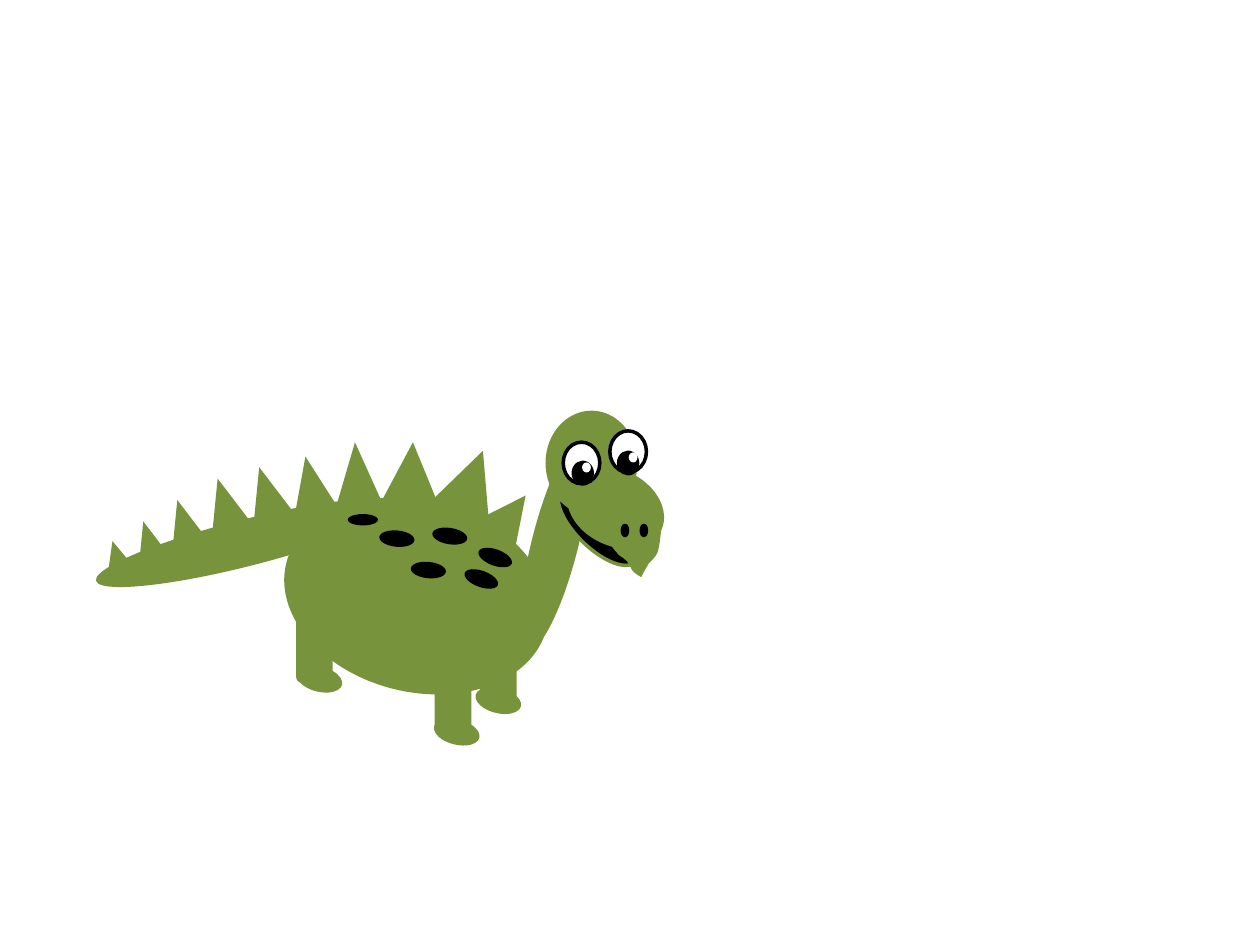
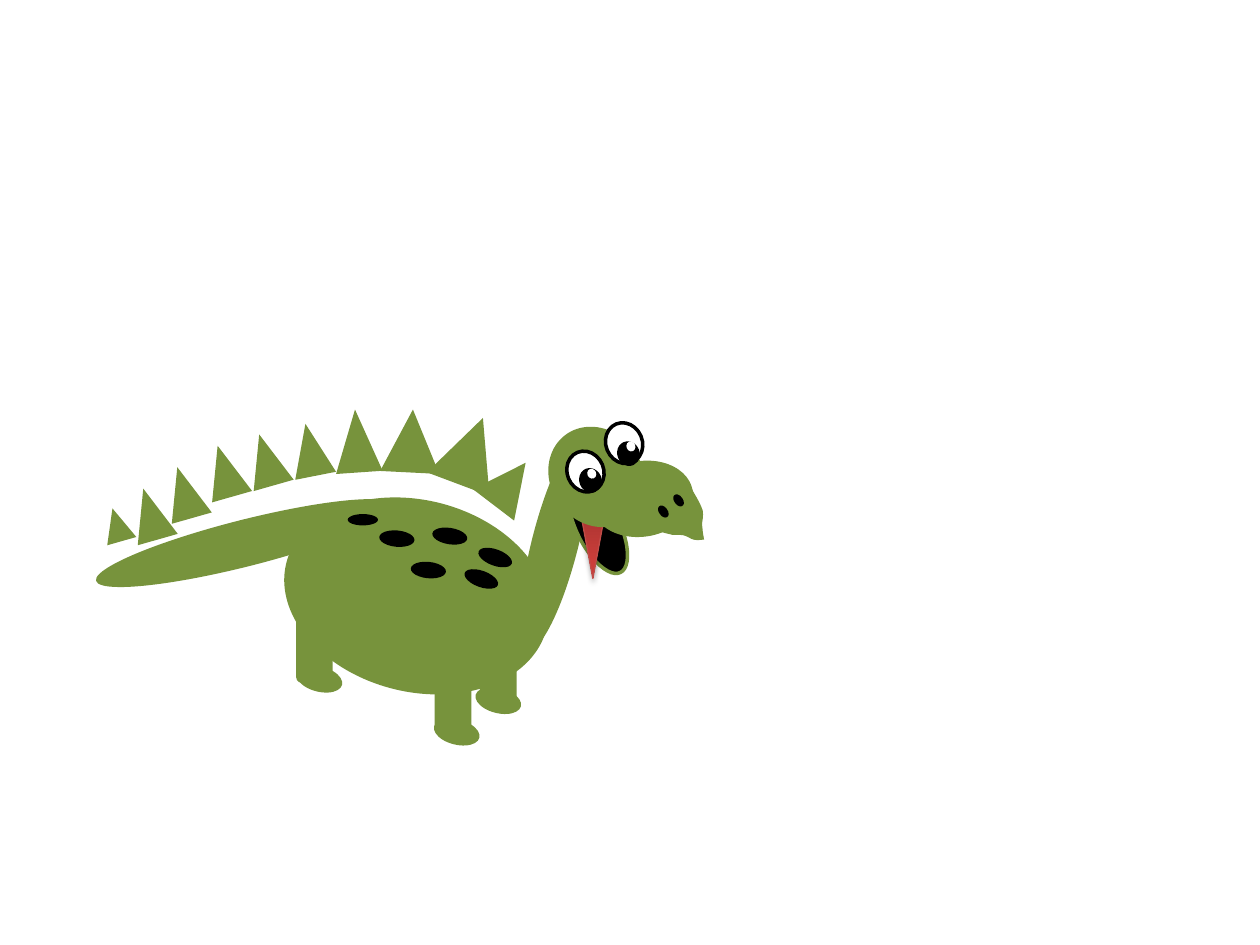
from copy import deepcopy
from dataclasses import dataclass
from math import cos, radians, sin

from lxml.etree import SubElement
from pptx import Presentation
from pptx.dml.color import RGBColor
from pptx.enum.shapes import MSO_SHAPE as PRESET
from pptx.oxml.ns import qn
from pptx.util import Inches, Pt

GREEN, BLACK, WHITE = "77933C", "000000", "FFFFFF"
TONGUE_STOPS = [(0, "9C2F2D"), (0.8, "CB3E3A"), (1, "CE3B37")]
TONGUE_LINE = "BF4C48"

# Boxes are left, top, width, height in inches; a fifth value is the rotation
LEAN = 14.2
NECK = (4.22, 3.45, 0.37, 1.73, LEAN)
BODY = (2.24, 3.97, 2.13, 1.52, LEAN)
TAIL = (1.76, 3.09, 0.37, 2.44, 270 - LEAN)
HEAD = (4.33, 3.26, 0.73, 0.83)
SNOUT = (4.48, 3.73, 0.81, 0.6, 26.8)
NOSTRILS = [(5.09, 4.17), (4.94, 4.17)]
EYES = [(4.84, 3.42), (4.47, 3.51)]
PUPILS = [(4.91, 3.59), (4.55, 3.67)]
GLINTS = [(4.99, 3.59), (4.62, 3.67)]
FRONT_LEGS = [(3.81, 5.17, 0.29, 0.41), (3.45, 5.34, 0.29, 0.49)]
FRONT_FEET = [(3.77, 5.46), (3.44, 5.71)]
HIND_LEGS = [(2.35, 4.84, 0.29, 0.58)]
HIND_FEET = [(2.35, 5.29)]
SPOTS = [(3.79, 4.36, 20), (3.43, 4.19, 8.9), (3.01, 4.21, 5.2),
         (3.26, 4.46, 5.6), (3.68, 4.53, 20)]
TAIL_SPOT = (2.76, 4.08, 0.24, 0.09)
SPIKES = [
    (0.81, 4.29, 0.24, 0.27, 344.1),
    (1.03, 4.13, 0.33, 0.42, 344.1),
    (1.3, 3.96, 0.33, 0.42, 344.1),
    (1.62, 3.79, 0.33, 0.42, 344.1),
    (1.95, 3.7, 0.33, 0.42, 344.1),
    (2.3, 3.62, 0.33, 0.42, 348.9),
    (2.65, 3.51, 0.37, 0.5, 356),
    (3.03, 3.51, 0.47, 0.5, 2.9),
    (3.47, 3.56, 0.53, 0.56, 20.5),
    (3.84, 3.89, 0.41, 0.42, 37.3),
]
# Lip outline: a start point, then cubic curves (two controls and an end)
LIP_START = (5.25, 4.19)
LIP_CURVES = [
    ((5.24, 4.25), (5.24, 4.31), (5.22, 4.38)),
    ((5.21, 4.41), (5.18, 4.44), (5.15, 4.47)),
    ((5.11, 4.54), (5.13, 4.5), (5.09, 4.58)),
    ((5.07, 4.57), (5.04, 4.55), (5.03, 4.54)),
    ((5, 4.51), (5, 4.47), (4.96, 4.44)),
    ((4.94, 4.42), (4.91, 4.41), (4.9, 4.39)),
    ((4.87, 4.36), (4.83, 4.3), (4.83, 4.3)),
    ((4.9, 4.29), (4.99, 4.29), (5.03, 4.27)),
]


@dataclass(frozen=True)
class Pose:
    """A clockwise turn about a pivot, followed by a shift."""
    angle: float = 0
    pivot: tuple = (0, 0)
    shift: tuple = (0, 0)

    def move(self, x, y):
        turn = radians(self.angle)
        dx, dy = x - self.pivot[0], y - self.pivot[1]
        return (self.pivot[0] + self.shift[0] + dx * cos(turn) - dy * sin(turn),
                self.pivot[1] + self.shift[1] + dx * sin(turn) + dy * cos(turn))


STILL = Pose()
HEAD_UP = Pose(-36.2, (4.695, 3.675), (0.04, 0.11))
EYES_UP = Pose(-22.6, (4.8, 3.63))
SPIKES_UP = Pose(shift=(0, -0.26))


def color(value):
    return RGBColor.from_string(value)


def paint(shape, fill, line=None, width=2):
    """Give a shape its plain fill and, if asked, a line."""
    shape.shadow.inherit = False
    shape.fill.solid()
    shape.fill.fore_color.rgb = color(fill)
    if line:
        shape.line.color.rgb = color(line)
        shape.line.width = Pt(width)
    else:
        shape.line.fill.background()


def add_part(shapes, preset, box, fill=GREEN, line=None, pose=STILL):
    left, top, width, height, *rotation = box
    x, y = pose.move(left + width / 2, top + height / 2)
    shape = shapes.add_shape(preset, Inches(x - width / 2), Inches(y - height / 2),
                             Inches(width), Inches(height))
    shape.rotation = (sum(rotation) + pose.angle) % 360
    paint(shape, fill, line)
    return shape


def add_oval(shapes, box, fill=GREEN, line=None, pose=STILL):
    return add_part(shapes, PRESET.OVAL, box, fill, line, pose)


def curve_points(start, curves, steps=8):
    """Points along a chain of cubic curves."""
    points = []
    for first, second, end in curves:
        for step in range(1, steps + 1):
            t = step / steps
            u = 1 - t
            points.append(tuple(
                u ** 3 * a + 3 * u * u * t * b + 3 * u * t * t * c + t ** 3 * d
                for a, b, c, d in zip(start, first, second, end)))
        start = end
    return points


def add_lip(shapes, pose):
    points = [(Inches(x), Inches(y)) for x, y in curve_points(LIP_START, LIP_CURVES)]
    builder = shapes.build_freeform(Inches(LIP_START[0]), Inches(LIP_START[1]))
    builder.add_line_segments(points, close=True)
    lip = builder.convert_to_shape()
    x, y = pose.move((lip.left + lip.width / 2) / Inches(1),
                     (lip.top + lip.height / 2) / Inches(1))
    lip.left = Inches(x) - lip.width // 2
    lip.top = Inches(y) - lip.height // 2
    lip.rotation = pose.angle % 360
    paint(lip, GREEN)


def add_tongue(shapes):
    tongue = add_part(shapes, PRESET.ISOSCELES_TRIANGLE,
                      (4.58, 3.92, 0.25, 0.67, 180), TONGUE_STOPS[0][1])
    tongue.line.color.rgb = color(TONGUE_LINE)
    tongue.line.width = Pt(0.75)
    # Three-stop gradient
    tongue.fill.gradient()
    tongue.fill.gradient_angle = 90
    properties = tongue._element.spPr
    stop_list = properties.find(".//" + qn("a:gsLst"))
    stop_list.append(deepcopy(stop_list[-1]))
    for stop, (position, value) in zip(tongue.fill.gradient_stops, TONGUE_STOPS):
        stop.position = position
        stop.color.rgb = color(value)
    # Soft shadow below
    shadow = SubElement(properties.find(qn("a:effectLst")), qn("a:outerShdw"),
                        blurRad=str(Pt(3.1)), dist=str(Pt(1.8)),
                        dir="5400000", rotWithShape="0")
    shade = SubElement(shadow, qn("a:srgbClr"), val=BLACK)
    SubElement(shade, qn("a:alpha"), val="35000")


def add_jaw(shapes, rotation):
    add_oval(shapes, (4.34, 4.01, 0.81, 0.34, rotation), BLACK, GREEN)


def add_head(shapes, pose=STILL):
    add_lip(shapes, pose)
    add_oval(shapes, HEAD, pose=pose)
    add_oval(shapes, SNOUT, pose=pose)
    for place in NOSTRILS:
        add_oval(shapes, (*place, 0.04, 0.08), BLACK, BLACK, pose)


def add_eyes(shapes, pose=STILL):
    for places, size, fill, line in (
            (EYES, (0.29, 0.33), WHITE, BLACK),
            (PUPILS, (0.15, 0.17), BLACK, BLACK),
            (GLINTS, (0.07, 0.08), WHITE, None)):
        for place in places:
            add_oval(shapes, (*place, *size), fill, line, pose)


def add_legs(shapes, legs, feet):
    for leg in legs:
        add_part(shapes, PRESET.ROUNDED_RECTANGLE, leg)
    for foot in feet:
        add_oval(shapes, (*foot, 0.37, 0.2, LEAN))


def add_spots(shapes):
    for left, top, rotation in SPOTS:
        add_oval(shapes, (left, top, 0.28, 0.13, rotation), BLACK)
    add_oval(shapes, TAIL_SPOT, BLACK)


def add_spikes(shapes, pose=STILL):
    for spike in SPIKES:
        add_part(shapes, PRESET.ISOSCELES_TRIANGLE, spike, pose=pose)


def new_group(shapes):
    return shapes.add_group_shape().shapes


def build_smiling_slide(shapes):
    add_oval(shapes, NECK)
    add_jaw(shapes, 44.2)
    add_head(shapes)
    add_eyes(shapes)
    add_oval(shapes, BODY)
    add_legs(shapes, FRONT_LEGS, FRONT_FEET)
    add_legs(shapes, HIND_LEGS, HIND_FEET)
    add_oval(shapes, TAIL)
    add_spikes(shapes)
    add_spots(shapes)


def build_roaring_slide(shapes):
    add_oval(shapes, NECK)
    add_jaw(shapes, 63.8)
    add_tongue(shapes)
    add_legs(new_group(shapes), FRONT_LEGS, FRONT_FEET)
    add_legs(shapes, HIND_LEGS, HIND_FEET)
    add_oval(shapes, TAIL)
    trunk = new_group(shapes)
    add_oval(trunk, BODY)
    add_spots(trunk)
    add_spikes(new_group(shapes), SPIKES_UP)
    add_head(new_group(shapes), HEAD_UP)
    add_eyes(new_group(shapes), EYES_UP)


def main():
    presentation = Presentation()
    presentation.slide_width, presentation.slide_height = Inches(10), Inches(7.5)
    blank = presentation.slide_layouts[6]
    for build in (build_smiling_slide, build_roaring_slide):
        build(presentation.slides.add_slide(blank).shapes)
    presentation.save("out.pptx")


main()
